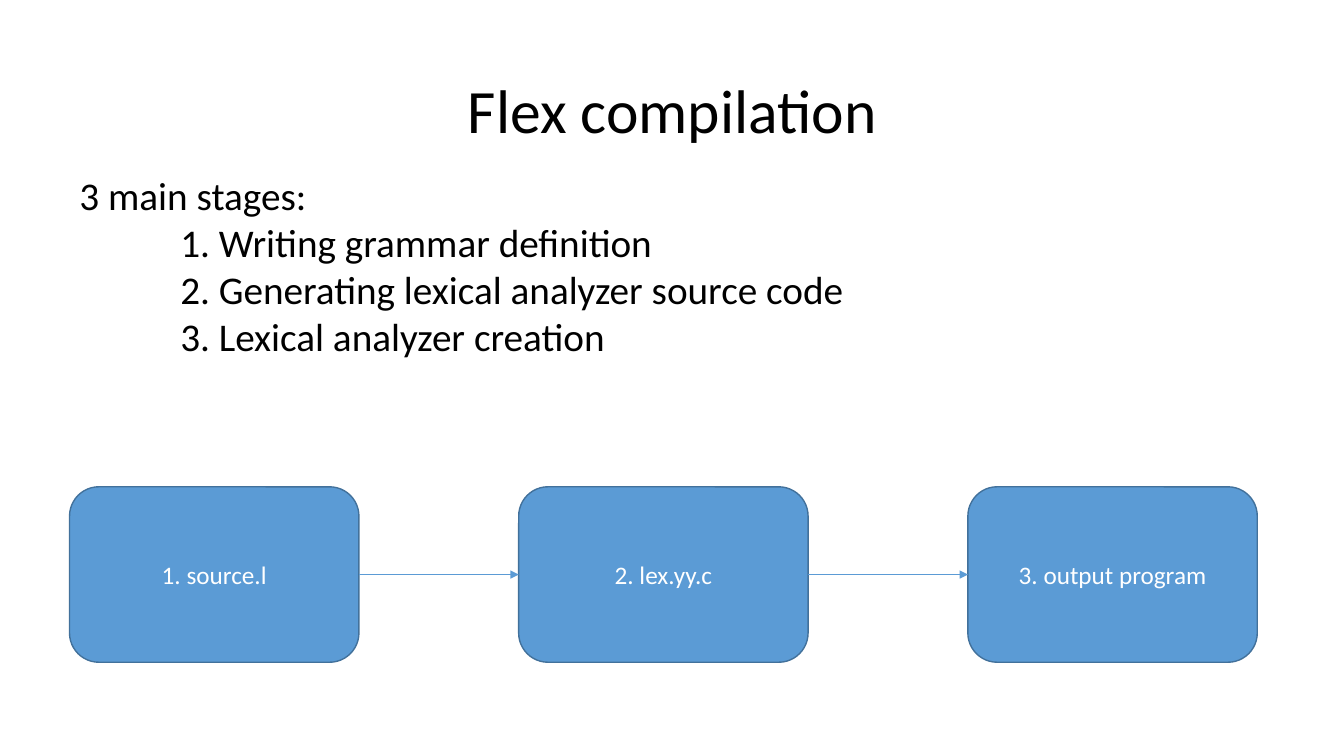
from lxml import etree
from pptx import Presentation
from pptx.dml.color import RGBColor
from pptx.enum.shapes import MSO_CONNECTOR, MSO_SHAPE
from pptx.enum.text import MSO_ANCHOR, PP_ALIGN
from pptx.oxml.ns import qn
from pptx.util import Inches, Pt

ROUNDED = MSO_SHAPE.ROUNDED_RECTANGLE
STRAIGHT = MSO_CONNECTOR.STRAIGHT
TOP, MIDDLE = MSO_ANCHOR.TOP, MSO_ANCHOR.MIDDLE
LEFT, CENTER = PP_ALIGN.LEFT, PP_ALIGN.CENTER
LEFT_SIDE, RIGHT_SIDE = 1, 3


def color(hex_value):
    return RGBColor.from_string(hex_value)


class StageSlide:
    font = "Calibri"
    ink = "000000"
    box_text = "FFFFFF"
    box_fill = "5B9BD5"
    box_line = "42719B"

    def __init__(self, slide):
        self.slide = slide

    def add_lines(self, frame, lines, size, ink, align, anchor, spacing=1.0):
        """Fill a frame with (text, indent in inches) lines."""
        frame.word_wrap = True
        frame.vertical_anchor = anchor
        for number, (text, indent) in enumerate(lines):
            paragraph = frame.add_paragraph() if number else frame.paragraphs[0]
            paragraph.alignment = align
            paragraph.line_spacing = spacing
            if indent:
                paragraph._p.get_or_add_pPr().set("marL", str(Inches(indent)))
            run = paragraph.add_run()
            run.text = text
            run.font.name = self.font
            run.font.size = Pt(size)
            run.font.color.rgb = color(ink)

    def text(self, left, top, width, height, lines, size,
             align=LEFT, anchor=TOP, spacing=1.0):
        area = self.slide.shapes.add_textbox(
            Inches(left), Inches(top), Inches(width), Inches(height))
        self.add_lines(area.text_frame, lines, size, self.ink, align, anchor, spacing)

    def box(self, left, top, width, height, label):
        stage = self.slide.shapes.add_shape(
            ROUNDED, Inches(left), Inches(top), Inches(width), Inches(height))
        stage.shadow.inherit = False
        stage.fill.solid()
        stage.fill.fore_color.rgb = color(self.box_fill)
        stage.line.color.rgb = color(self.box_line)
        stage.line.width = Pt(1)
        self.add_lines(stage.text_frame, [(label, 0)], 18, self.box_text, CENTER, MIDDLE)
        return stage

    def arrow(self, source, target):
        link = self.slide.shapes.add_connector(STRAIGHT, 0, 0, 0, 0)
        link.begin_connect(source, RIGHT_SIDE)
        link.end_connect(target, LEFT_SIDE)
        link.line.color.rgb = color(self.box_fill)
        link.line.width = Pt(0.75)
        properties = link._element.spPr
        etree.SubElement(properties.get_or_add_ln(), qn("a:tailEnd"), type="triangle")
        etree.SubElement(properties, qn("a:effectLst"))


def main():
    deck = Presentation()
    deck.slide_width, deck.slide_height = Inches(13.33), Inches(7.5)
    page = StageSlide(deck.slides.add_slide(deck.slide_layouts[6]))

    # Title
    page.text(0.92, 0.4, 11.5, 1.45, [("Flex compilation", 0)], 44,
              CENTER, MIDDLE, 0.9)

    # File boxes, evenly spaced
    first_left, last_left = 0.69, 9.6
    files = ["1. source.l", "2. lex.yy.c", "3. output program"]
    pitch = (last_left - first_left) / (len(files) - 1)
    stages = [page.box(first_left + i * pitch, 4.83, 2.87, 1.74, label)
              for i, label in enumerate(files)]

    # Stage list
    page.text(0.69, 1.65, 11.64, 1.99, [
        ("3 main stages:", 0),
        ("1. Writing grammar definition", 1),
        ("2. Generating lexical analyzer source code", 1),
        ("3. Lexical analyzer creation", 1),
    ], 28)

    # Arrows between neighbouring files
    for source, target in zip(stages, stages[1:]):
        page.arrow(source, target)

    deck.save("out.pptx")


if __name__ == "__main__":
    main()
